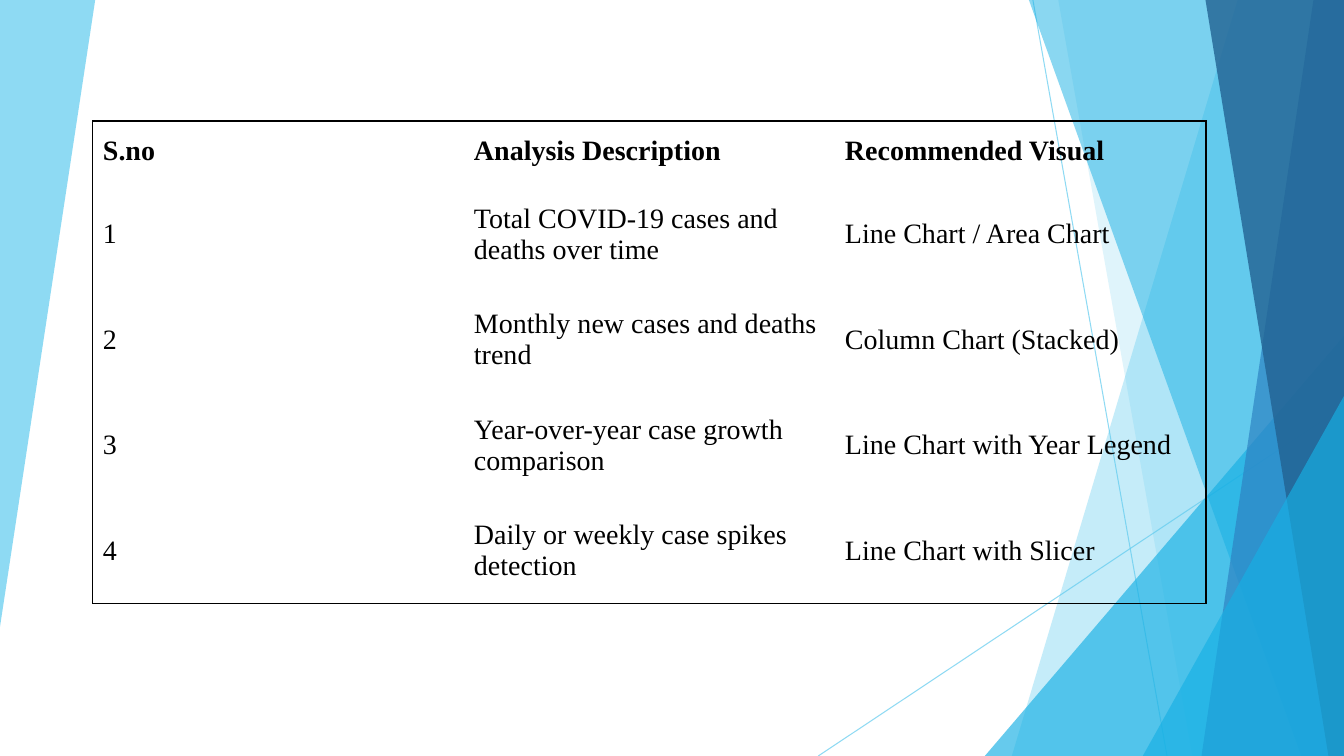
from dataclasses import dataclass

from lxml.etree import SubElement
from pptx import Presentation
from pptx.dml.color import RGBColor
from pptx.enum.shapes import MSO_CONNECTOR as Connector, MSO_SHAPE as Preset
from pptx.enum.text import MSO_ANCHOR as Anchor
from pptx.oxml import parse_xml
from pptx.oxml.ns import nsdecls, qn
from pptx.util import Cm, Pt


@dataclass(frozen=True)
class Theme:
    sky: str = "5FCBEF"
    cyan: str = "17B0E4"
    blue: str = "2E83C3"
    navy: str = "226292"
    ink: str = "000000"
    font: str = "Times New Roman"
    text_size: float = 20
    ray_width: float = 0.75
    frame_width: float = 1


THEME = Theme()
WIDTH, HEIGHT = 33.87, 19.05
COLUMN_WIDTH, HEADER_HEIGHT, ROW_HEIGHT = 9.35, 1.52, 2.66

ANALYSES = [
    ("S.no", "Analysis Description", "Recommended Visual"),
    ("1", "Total COVID-19 cases and deaths over time", "Line Chart / Area Chart"),
    ("2", "Monthly new cases and deaths trend", "Column Chart (Stacked)"),
    ("3", "Year-over-year case growth comparison", "Line Chart with Year Legend"),
    ("4", "Daily or weekly case spikes detection", "Line Chart with Slicer"),
]


def set_opacity(element, percent):
    color = next(element.iter(qn("a:srgbClr")))
    SubElement(color, qn("a:alpha")).set("val", str(percent * 1000))


def paint(facet, color, opacity):
    facet.shadow.inherit = False
    facet.fill.solid()
    facet.fill.fore_color.rgb = RGBColor.from_string(color)
    facet.line.fill.background()
    set_opacity(facet.element, opacity)


def add_facet(slide, corners, color, opacity):
    points = [(Cm(x), Cm(y)) for x, y in corners]
    outline = slide.shapes.build_freeform(*points[0], scale=1.0)
    outline.add_line_segments(points[1:], close=True)
    paint(outline.convert_to_shape(), color, opacity)


def add_right_facet(slide, top_x, bottom_x, color, opacity):
    corners = [(top_x, 0), (WIDTH, 0), (WIDTH, HEIGHT), (bottom_x, HEIGHT)]
    add_facet(slide, corners, color, opacity)


def add_corner(slide, left, top):
    corner = slide.shapes.add_shape(
        Preset.ISOSCELES_TRIANGLE, Cm(left), Cm(top), Cm(WIDTH - left), Cm(HEIGHT - top)
    )
    corner.adjustments[0] = 1
    paint(corner, THEME.cyan, 66)


def add_ray(slide, start, end):
    ray = slide.shapes.add_connector(Connector.STRAIGHT, *map(Cm, start + end))
    ray.line.color.rgb = RGBColor.from_string(THEME.sky)
    ray.line.width = Pt(THEME.ray_width)
    set_opacity(ray.element, 70)
    SubElement(ray.element.spPr, qn("a:effectLst"))


def set_borders(cell, outer_edges):
    frame = f'<a:solidFill><a:srgbClr val="{THEME.ink}"/></a:solidFill>'
    width = Pt(THEME.frame_width)
    properties = cell._tc.get_or_add_tcPr()
    for position, edge in enumerate("LRTB"):
        stroke = frame if edge in outer_edges else "<a:noFill/>"
        border = f'<a:ln{edge} {nsdecls("a")} w="{width}">{stroke}</a:ln{edge}>'
        properties.insert(position, parse_xml(border))


def fill_cell(cell, text, bold):
    cell.fill.background()
    cell.vertical_anchor = Anchor.MIDDLE
    run = cell.text_frame.paragraphs[0].add_run()
    run.text = text
    run.font.name = THEME.font
    run.font.size = Pt(THEME.text_size)
    run.font.bold = bold
    run.font.color.rgb = RGBColor.from_string(THEME.ink)


def add_analysis_table(slide, left, top):
    last_row, last_column = len(ANALYSES) - 1, len(ANALYSES[0]) - 1
    table = slide.shapes.add_table(
        last_row + 1,
        last_column + 1,
        Cm(left),
        Cm(top),
        Cm(COLUMN_WIDTH * (last_column + 1)),
        Cm(HEADER_HEIGHT + ROW_HEIGHT * last_row),
    ).table
    table.first_row = table.horz_banding = False
    for column in table.columns:
        column.width = Cm(COLUMN_WIDTH)
    for r, analysis in enumerate(ANALYSES):
        table.rows[r].height = Cm(ROW_HEIGHT if r else HEADER_HEIGHT)
        for c, text in enumerate(analysis):
            cell = table.cell(r, c)
            fill_cell(cell, text, bold=r == 0)
            on_frame = {"L": c == 0, "R": c == last_column, "T": r == 0, "B": r == last_row}
            set_borders(cell, [edge for edge, outer in on_frame.items() if outer])


def add_backdrop(slide):
    add_facet(slide, [(0, 0), (2.4, 0), (0, 15.8)], THEME.sky, 70)
    add_ray(slide, (26.03, 0), (29.41, HEIGHT))
    add_ray(slide, (WIDTH, 10.24), (20.62, HEIGHT))
    add_right_facet(slide, 31.19, 25.5, THEME.sky, 36)
    add_right_facet(slide, 26.67, 30.05, THEME.sky, 20)
    add_corner(slide, 24.82, 8.46)
    add_right_facet(slide, 25.93, 32.79, THEME.cyan, 50)
    add_right_facet(slide, 33.1, 30.28, THEME.blue, 70)
    add_right_facet(slide, 30.38, 33.48, THEME.navy, 80)
    add_corner(slide, 28.8, 9.98)


def main():
    deck = Presentation()
    deck.slide_width, deck.slide_height = Cm(WIDTH), Cm(HEIGHT)
    slide = deck.slides.add_slide(deck.slide_layouts[6])
    add_backdrop(slide)
    add_analysis_table(slide, 2.34, 3.05)
    deck.save("out.pptx")


if __name__ == "__main__":
    main()
